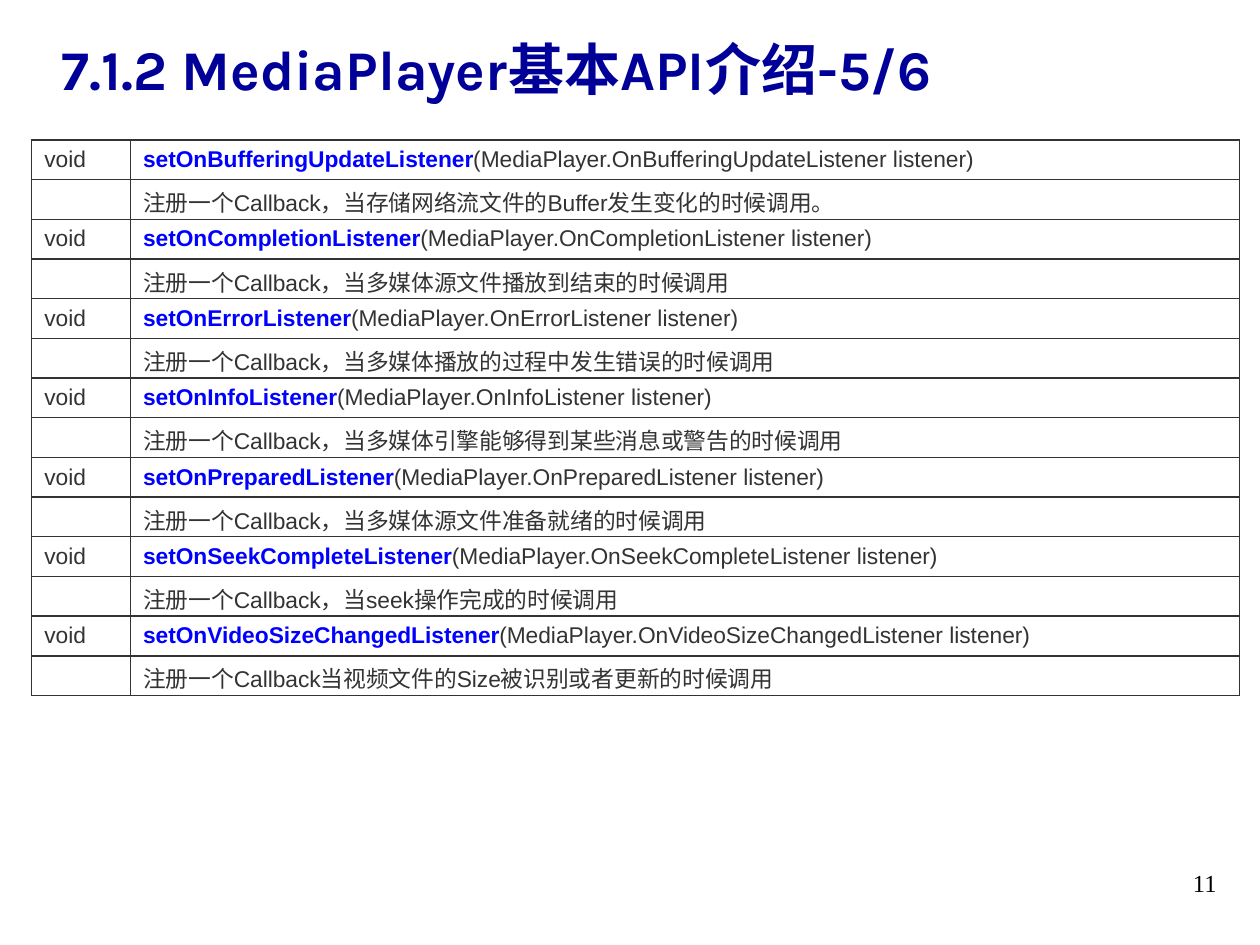
import pptx
import pptx.util
import pptx.dml.color
import pptx.enum.text
from lxml import etree
from pptx.util import Cm

FONT = "Arial"
GREY = "333333"
BLUE = "0000FF"
WHITE = "FFFFFF"
ROW_HEIGHT = Cm(0.8)
A = "http://schemas.openxmlformats.org/drawingml/2006/main"
MIDDLE = pptx.enum.text.MSO_ANCHOR.MIDDLE

# Each listener setter with its description
LISTENERS = [
    ("BufferingUpdate", "注册一个Callback，当存储网络流文件的Buffer发生变化的时候调用。"),
    ("Completion", "注册一个Callback，当多媒体源文件播放到结束的时候调用"),
    ("Error", "注册一个Callback，当多媒体播放的过程中发生错误的时候调用"),
    ("Info", "注册一个Callback，当多媒体引擎能够得到某些消息或警告的时候调用"),
    ("Prepared", "注册一个Callback，当多媒体源文件准备就绪的时候调用"),
    ("SeekComplete", "注册一个Callback，当seek操作完成的时候调用"),
    ("VideoSizeChanged", "注册一个Callback当视频文件的Size被识别或者更新的时候调用"),
]


def rgb(value):
    return pptx.dml.color.RGBColor.from_string(value)


def style_font(font, name, size, color, bold=False):
    font.name = name
    font.size = pptx.util.Pt(size)
    font.color.rgb = rgb(color)
    font.bold = bold


def add_text(s, left, top, width, height, text, *style):
    tf = s.shapes.add_textbox(Cm(left), Cm(top), Cm(width), Cm(height)).text_frame
    tf.word_wrap = True
    p = tf.paragraphs[0]
    p.text = text
    style_font(p.font, *style)


def add_borders(cell, color, width):
    tc_pr = cell._tc.get_or_add_tcPr()
    for position, side in enumerate(("lnL", "lnR", "lnT", "lnB")):
        ln = etree.Element(f"{{{A}}}{side}", w=str(pptx.util.Pt(width)))
        fill = etree.SubElement(ln, f"{{{A}}}solidFill")
        etree.SubElement(fill, f"{{{A}}}srgbClr", val=color)
        tc_pr.insert(position, ln)


def fill_cell(cell, runs=(), margin_top=0):
    cell.fill.solid()
    cell.fill.fore_color.rgb = rgb(WHITE)
    add_borders(cell, GREY, 1)
    cell.vertical_anchor = MIDDLE
    cell.margin_top = Cm(margin_top)
    cell.margin_bottom = 0
    p = cell.text_frame.paragraphs[0]
    style_font(p.font, FONT, 13, GREY)
    for text, color, bold in runs:
        r = p.add_run()
        r.text = text
        style_font(r.font, FONT, 13, color, bold)


def add_listener_table(s):
    count = 2 * len(LISTENERS)
    table = s.shapes.add_table(count, 2, Cm(0.64), Cm(2.82),
                               Cm(24.35), ROW_HEIGHT * count).table
    table.first_row = table.horz_banding = False
    table.columns[0].width = Cm(1.99)
    table.columns[1].width = Cm(22.36)
    for i, (event, description) in enumerate(LISTENERS):
        row = 2 * i
        name = f"On{event}Listener"
        # Signature row
        fill_cell(table.cell(row, 0), [("void", GREY, False)])
        fill_cell(table.cell(row, 1), [
            (f"set{name}", BLUE, True),
            (f"(MediaPlayer.{name} listener)", GREY, False),
        ])
        # Description row
        fill_cell(table.cell(row + 1, 0))
        fill_cell(table.cell(row + 1, 1), [(description, GREY, False)], 0.1)


def main():
    prs = pptx.Presentation()
    prs.slide_width, prs.slide_height = Cm(25.4), Cm(19.05)
    s = prs.slides.add_slide(prs.slide_layouts[6])

    # Page number, table and title
    add_text(s, 23.8, 17.37, 1.6, 0.84, "11", "Times New Roman", 14, "000000")
    add_listener_table(s)
    add_text(s, 0.99, 0.58, 20.24, 1.96, "7.1.2 MediaPlayer基本API介绍-5/6",
             "Karla", 32, "000099", True)

    prs.save("out.pptx")


if __name__ == "__main__":
    main()
